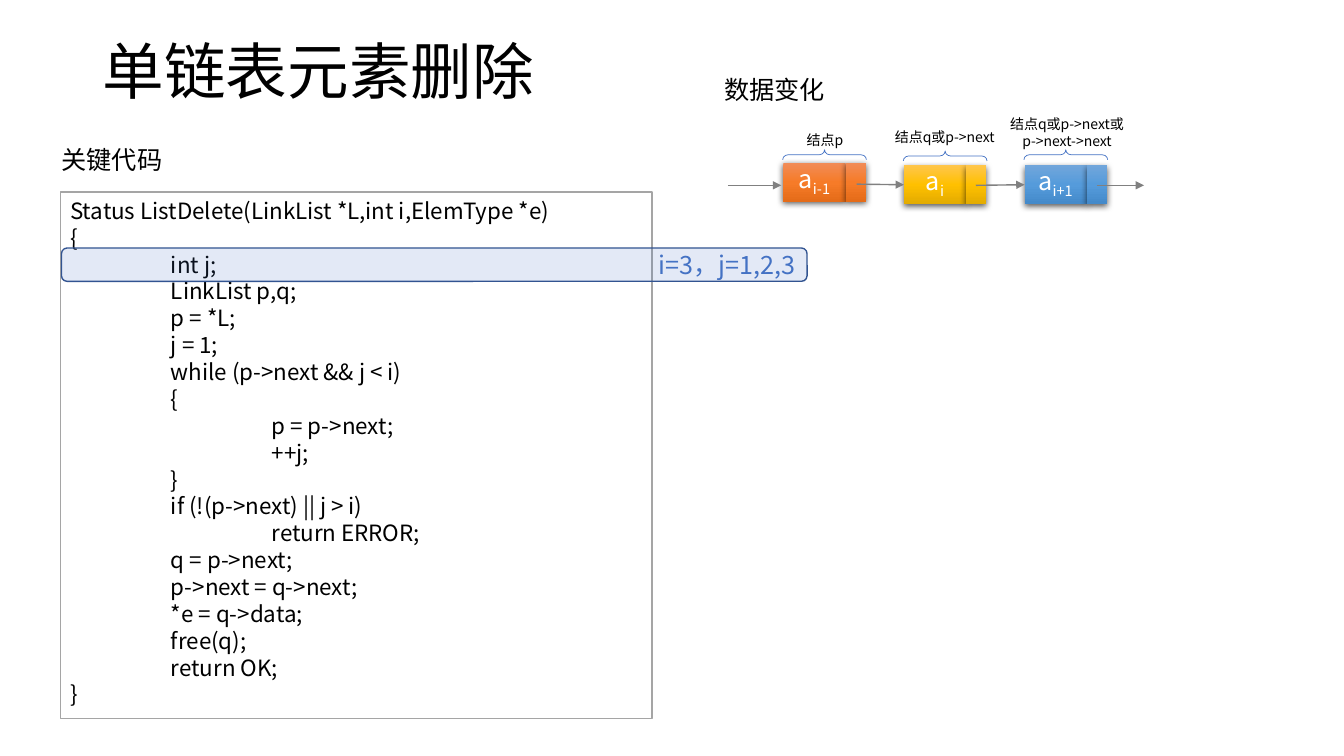
from copy import deepcopy
from dataclasses import dataclass
from typing import Optional

from lxml import etree
from pptx import Presentation
from pptx import util as u
from pptx.dml.color import RGBColor
from pptx.enum import shapes, text
from pptx.oxml import ns

FONT = "Noto Sans CJK SC"
BLACK = RGBColor(0x00, 0x00, 0x00)
WHITE = RGBColor(0xFF, 0xFF, 0xFF)
GRAY = RGBColor(0x80, 0x80, 0x80)
FRAME = RGBColor(0xA5, 0xA5, 0xA5)
BLUE = RGBColor(0x44, 0x72, 0xC4)
DARK_BLUE = RGBColor(0x32, 0x54, 0x91)
ORANGES = (RGBColor(0xF1, 0x8C, 0x57), RGBColor(0xF6, 0x7B, 0x28), RGBColor(0xE5, 0x6C, 0x19))
YELLOWS = (RGBColor(0xFF, 0xC6, 0x4B), RGBColor(0xFF, 0xC0, 0x00), RGBColor(0xE3, 0xAB, 0x00))
BLUES = (RGBColor(0x71, 0xA6, 0xDB), RGBColor(0x55, 0x9B, 0xDB), RGBColor(0x44, 0x8A, 0xCA))

NODE_X, NODE_PITCH = 19.74, 3.04
DATA_W, NEXT_W, NODE_H = 1.57, 0.51, 0.97
BRACE_W, BRACE_H = 0.25, 2.11
TAB_STOPS = (2.54, 5.08)

CODE = """Status ListDelete(LinkList *L,int i,ElemType *e)
{
\tint j;
\tLinkList p,q;
\tp = *L;
\tj = 1;
\twhile (p->next && j < i)
\t{
\t\tp = p->next;
\t\t++j;
\t}
\tif (!(p->next) || j > i)
\t\treturn ERROR;
\tq = p->next;
\tp->next = q->next;
\t*e = q->data;
\tfree(q);
\treturn OK;
}"""


@dataclass
class Label:
    text: str
    x: float
    y: float
    w: float
    h: float
    size: int
    align: text.PP_ALIGN = text.PP_ALIGN.LEFT
    anchor: text.MSO_ANCHOR = text.MSO_ANCHOR.TOP


@dataclass
class Node:
    index: str
    y: float
    brace_y: float
    colors: tuple


@dataclass
class Arrow:
    x1: float
    y1: float
    x2: float
    y2: float
    target: Optional[int] = None


LABELS = [
    Label("单链表元素删除", 2.34, 0.03, 29.21, 3.46, 44, anchor=text.MSO_ANCHOR.MIDDLE),
    Label("关键代码", 1.3, 3.51, 3.3, 1.02, 18),
    Label("数据变化", 18.0, 1.75, 3.3, 1.02, 18),
    Label("结点p", 19.94, 3.18, 1.7, 0.69, 10, text.PP_ALIGN.CENTER),
    Label("结点q或p->next", 22.02, 3.12, 3.58, 0.69, 10, text.PP_ALIGN.CENTER),
    Label("结点q或p->next或p->next->next", 25.1, 2.78, 3.58, 1.12, 10, text.PP_ALIGN.CENTER),
]
NODES = [
    Node("i-1", 4.11, 3.9, ORANGES),
    Node("i", 4.17, 3.93, YELLOWS),
    Node("i+1", 4.17, 3.9, BLUES),
]
ARROWS = [
    Arrow(18.34, 4.67, 19.69, 4.67),
    Arrow(21.59, 4.64, 22.78, 4.65, target=1),
    Arrow(24.59, 4.67, 25.81, 4.65, target=2),
    Arrow(27.64, 4.67, 28.83, 4.67),
]


def write(sp, content: str, size: int, color: RGBColor, align=text.PP_ALIGN.LEFT,
          anchor=text.MSO_ANCHOR.TOP) -> None:
    tf = sp.text_frame
    tf.word_wrap = True
    tf.vertical_anchor = anchor
    tf.text = content
    for p in tf.paragraphs:
        p.alignment = align
        p.line_spacing = u.Pt(size * 1.2)
        if p.text.startswith("\t"):
            tabs = etree.SubElement(p._element.get_or_add_pPr(), ns.qn("a:tabLst"))
            for stop in TAB_STOPS:
                etree.SubElement(tabs, ns.qn("a:tab"), pos=str(u.Cm(stop)), algn="l")
        p.font.size = u.Pt(size)
        p.font.name = FONT
        p.font.color.rgb = color
        for r in p.runs:
            etree.SubElement(r.font._element, ns.qn("a:ea"), typeface=FONT)


def add_box(s, kind, x: float, y: float, w: float, h: float):
    sp = s.shapes.add_shape(kind, u.Cm(x), u.Cm(y), u.Cm(w), u.Cm(h))
    sp.shadow.inherit = False
    return sp


def set_line(sp, color: RGBColor, width: float) -> None:
    sp.line.color.rgb = color
    sp.line.width = u.Pt(width)


def add_label(s, label: Label) -> None:
    sp = s.shapes.add_textbox(u.Cm(label.x), u.Cm(label.y), u.Cm(label.w), u.Cm(label.h))
    write(sp, label.text, label.size, BLACK, label.align, label.anchor)


def add_cell(s, x: float, y: float, w: float, colors: tuple):
    """Add one shaded part of a node, with a soft shadow below."""
    sp = add_box(s, shapes.MSO_SHAPE.RECTANGLE, x, y, w, NODE_H)
    sp.line.fill.background()
    sp.fill.gradient()
    sp.fill.gradient_angle = 270
    props = sp._element.spPr
    stops = props.find(".//" + ns.qn("a:gsLst"))
    stops.append(deepcopy(stops[-1]))
    for i, (stop, color) in enumerate(zip(sp.fill.gradient_stops, colors)):
        stop.position = i / 2
        stop.color.rgb = color
    shadow = etree.SubElement(props.find(ns.qn("a:effectLst")), ns.qn("a:outerShdw"),
                              blurRad="57150", dist="19050", dir="5400000", rotWithShape="0")
    shade = etree.SubElement(shadow, ns.qn("a:srgbClr"), val="000000")
    etree.SubElement(shade, ns.qn("a:alpha"), val="63000")
    return sp


def add_node(s, x: float, node: Node):
    """Add a list node and its brace; return the data cell."""
    data = add_cell(s, x, node.y, DATA_W, node.colors)
    write(data, "a", 18, WHITE, text.PP_ALIGN.CENTER, text.MSO_ANCHOR.MIDDLE)
    p = data.text_frame.paragraphs[0]
    r = p.add_run()
    r.text = node.index
    r.font._element.set("baseline", "-25000")
    add_cell(s, x + DATA_W, node.y, NEXT_W, node.colors)
    brace = add_box(s, shapes.MSO_SHAPE.RIGHT_BRACE, x + (DATA_W + NEXT_W - BRACE_W) / 2,
                    node.brace_y - BRACE_H / 2, BRACE_W, BRACE_H)
    brace.rotation = 270
    brace.adjustments[0] = 0.54
    brace.fill.background()
    set_line(brace, BLUE, 0.5)
    return data


def add_arrow(s, arrow: Arrow, cells: list) -> None:
    c = s.shapes.add_connector(shapes.MSO_CONNECTOR.STRAIGHT, u.Cm(arrow.x1), u.Cm(arrow.y1),
                               u.Cm(arrow.x2), u.Cm(arrow.y2))
    if arrow.target is not None:
        c.end_connect(cells[arrow.target], 1)
    set_line(c, GRAY, 1)
    etree.SubElement(c.line._get_or_add_ln(), ns.qn("a:tailEnd"), type="triangle")
    etree.SubElement(c._element.spPr, ns.qn("a:effectLst"))


def add_code(s) -> None:
    """Add the code frame and the bar that marks the current line."""
    code = add_box(s, shapes.MSO_SHAPE.RECTANGLE, 1.52, 4.84, 14.91, 13.26)
    code.fill.solid()
    code.fill.fore_color.rgb = WHITE
    set_line(code, FRAME, 1)
    write(code, CODE, 16, BLACK)

    bar = add_box(s, shapes.MSO_SHAPE.ROUNDED_RECTANGLE, 1.55, 6.25, 18.79, 0.84)
    bar.fill.solid()
    bar.fill.fore_color.rgb = BLUE
    tint = bar._element.spPr.find(ns.qn("a:solidFill"))[0]
    etree.SubElement(tint, ns.qn("a:alpha"), val="15000")
    set_line(bar, DARK_BLUE, 1)
    write(bar, "i=3，j=1,2,3", 18, BLUE, text.PP_ALIGN.RIGHT, text.MSO_ANCHOR.MIDDLE)


def main() -> None:
    prs = Presentation()
    prs.slide_width, prs.slide_height = u.Cm(33.87), u.Cm(19.05)
    s = prs.slides.add_slide(prs.slide_layouts[6])
    add_code(s)
    cells = [add_node(s, NODE_X + i * NODE_PITCH, node) for i, node in enumerate(NODES)]
    for arrow in ARROWS:
        add_arrow(s, arrow, cells)
    for label in LABELS:
        add_label(s, label)
    prs.save("out.pptx")


if __name__ == "__main__":
    main()
